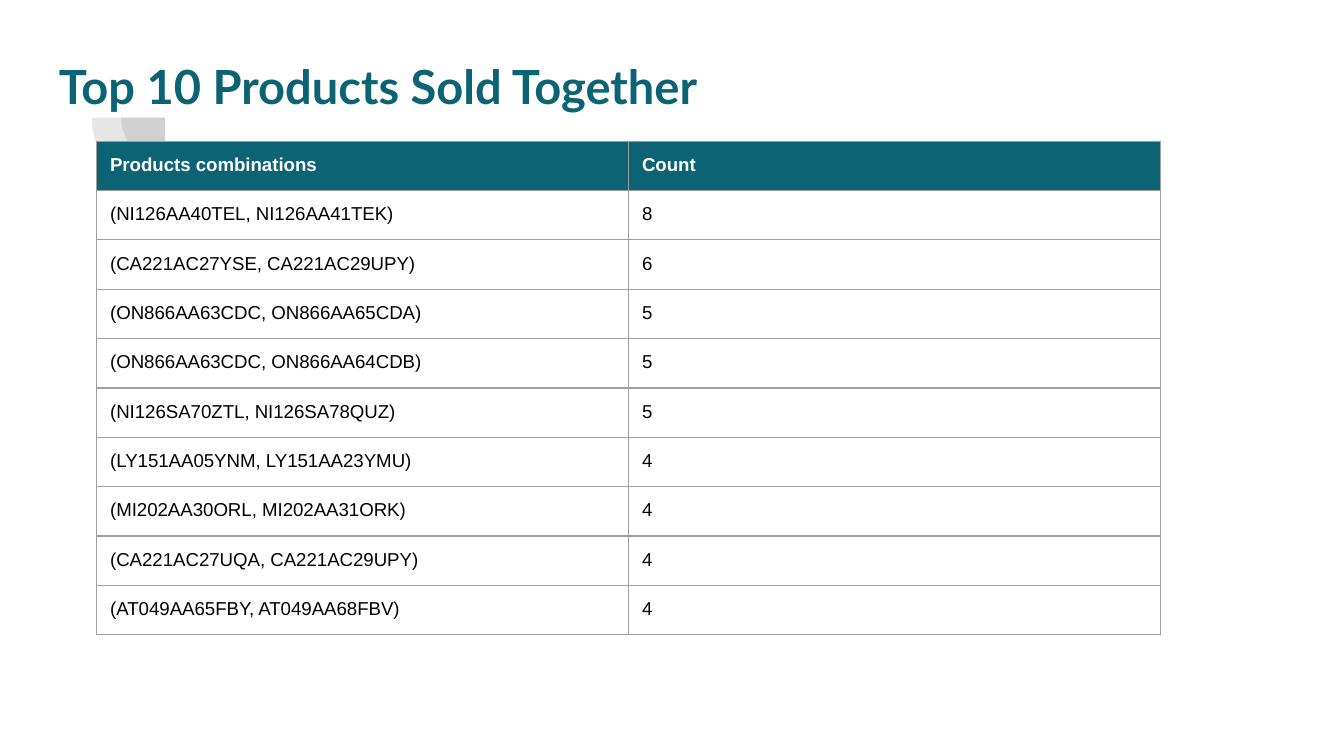
from dataclasses import dataclass

from lxml import etree
from pptx import Presentation
from pptx.dml.color import RGBColor
from pptx.enum import shapes, text
from pptx.oxml import ns
from pptx.util import Pt


@dataclass(frozen=True)
class Theme:
    teal: str = "0B6374"
    white: str = "FFFFFF"
    black: str = "000000"
    rule: str = "9E9E9E"
    grey: str = "424242"
    alpha: int = 13
    head: str = "Lato"
    body: str = "Arial"
    big: float = 25.2
    small: float = 10
    line: float = 0.75
    pad: float = 7.2


T = Theme()
PAIRS = [
    ("(NI126AA40TEL, NI126AA41TEK)", 8),
    ("(CA221AC27YSE, CA221AC29UPY)", 6),
    ("(ON866AA63CDC, ON866AA65CDA)", 5),
    ("(ON866AA63CDC, ON866AA64CDB)", 5),
    ("(NI126SA70ZTL, NI126SA78QUZ)", 5),
    ("(LY151AA05YNM, LY151AA23YMU)", 4),
    ("(MI202AA30ORL, MI202AA31ORK)", 4),
    ("(CA221AC27UQA, CA221AC29UPY)", 4),
    ("(AT049AA65FBY, AT049AA68FBV)", 4),
]


def apply(item, form):
    for name, value in form.items():
        setattr(item, name, value)


def write(para, words, face, size, hue, bold):
    run = para.add_run()
    run.text = words
    apply(run.font, {"name": face, "size": Pt(size), "bold": bold})
    run.font.color.rgb = RGBColor.from_string(hue)


def pads():
    sides = ("left", "top", "right", "bottom")
    return {f"margin_{side}": Pt(T.pad) for side in sides}


def border(cell):
    props = cell._tc.get_or_add_tcPr()
    for spot, side in enumerate(("lnL", "lnR", "lnT", "lnB")):
        line = etree.Element(ns.qn(f"a:{side}"), w=str(Pt(T.line)))
        fill = etree.SubElement(line, ns.qn("a:solidFill"))
        etree.SubElement(fill, ns.qn("a:srgbClr"), val=T.rule)
        props.insert(spot, line)


def arcs(slide, left, top, side):
    for ratio in (0.6, 1):
        size = side * ratio
        inset = (side - size) / 2
        pie = slide.shapes.add_shape(
            shapes.MSO_SHAPE.PIE,
            Pt(left + inset), Pt(top + inset), Pt(size), Pt(size))
        pie.adjustments[0], pie.adjustments[1] = 108, 162
        pie.rotation = 270
        pie.shadow.inherit = False
        pie.line.fill.background()
        pie.fill.solid()
        pie.fill.fore_color.rgb = RGBColor.from_string(T.grey)
        hue = pie._element.spPr.find(".//" + ns.qn("a:srgbClr"))
        etree.SubElement(hue, ns.qn("a:alpha"), val=str(T.alpha * 1000))


def title(slide, left, top, width, height):
    box = slide.shapes.add_textbox(Pt(left), Pt(top), Pt(width), Pt(height))
    frame = box.text_frame
    apply(frame, {**pads(), "word_wrap": True,
                  "vertical_anchor": text.MSO_ANCHOR.MIDDLE})
    write(frame.paragraphs[0], "Top 10 Products Sold Together",
          T.head, T.big, T.teal, True)


def table(slide, left, top, width, height):
    rows = [("Products combinations", "Count"), *PAIRS]
    grid = slide.shapes.add_table(
        len(rows), 2, Pt(left), Pt(top), Pt(width), Pt(height)).table
    apply(grid, {"first_row": True, "horz_banding": False})
    for col in grid.columns:
        col.width = Pt(width / 2)
    for i, row in enumerate(rows):
        grid.rows[i].height = Pt(height / len(rows))
        for j, value in enumerate(row):
            cell = grid.cell(i, j)
            apply(cell, pads())
            if i == 0:
                cell.fill.solid()
                cell.fill.fore_color.rgb = RGBColor.from_string(T.teal)
            else:
                cell.fill.background()
            border(cell)
            write(cell.text_frame.paragraphs[0], str(value), T.body, T.small,
                  T.black if i else T.white, i == 0)


def main():
    deck = Presentation()
    apply(deck, {"slide_width": Pt(720), "slide_height": Pt(405)})
    slide = deck.slides.add_slide(deck.slide_layouts[6])
    arcs(slide, 49.2, 23.8, 78.5)
    title(slide, 24.5, 22.3, 671, 47.5)
    table(slide, 51.8, 75.6, 570, 255.5)
    deck.save("out.pptx")


if __name__ == "__main__":
    main()
